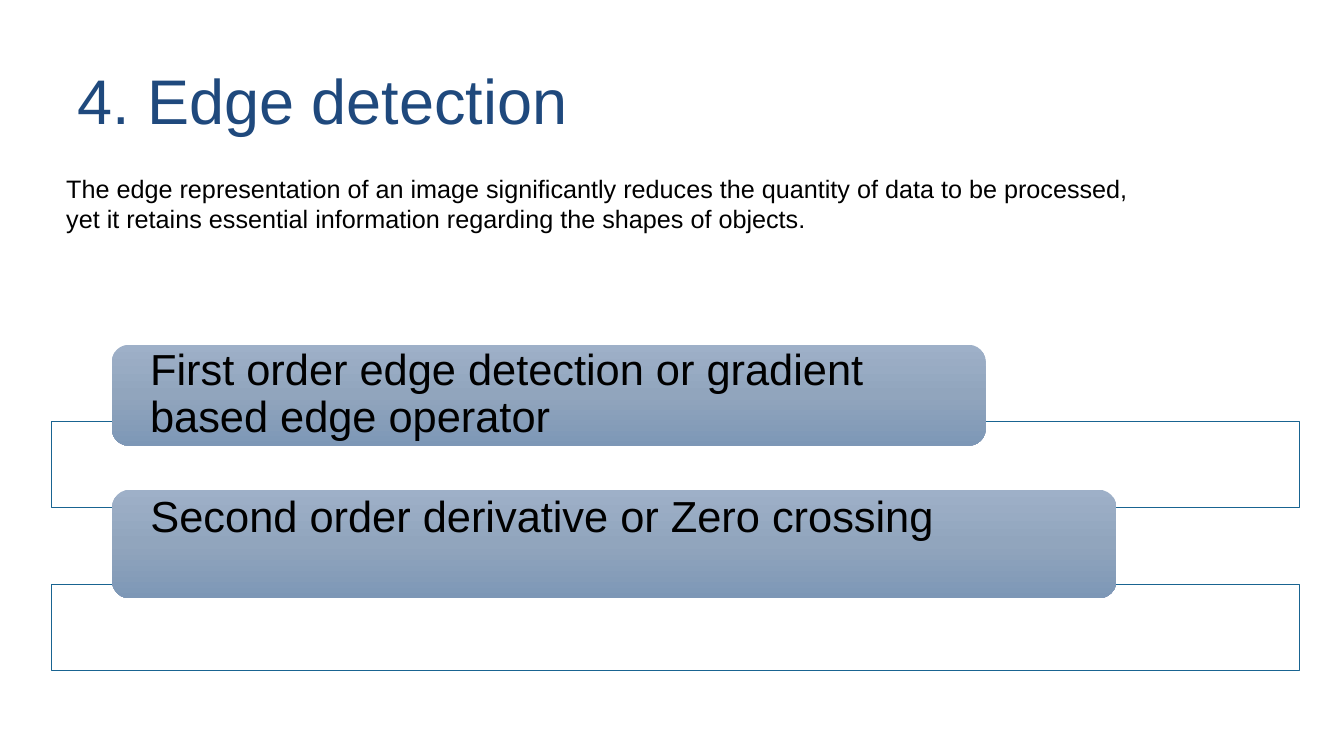
from copy import deepcopy
from typing import NamedTuple

from pptx import Presentation
from pptx.dml.color import RGBColor
from pptx.enum import shapes, text
from pptx.util import Cm, Pt

FONT = "Arial"
NAVY = RGBColor(0x1F, 0x49, 0x7D)
BLACK = RGBColor(0, 0, 0)
WHITE = RGBColor(0xFF, 0xFF, 0xFF)
FRAME_BLUE = RGBColor(0x19, 0x64, 0x91)
BAR_TOP = RGBColor(0x9E, 0xB0, 0xC8)
BAR_MIDDLE = RGBColor(0x91, 0xA5, 0xBD)
BAR_BOTTOM = RGBColor(0x7D, 0x97, 0xB6)


class Method(NamedTuple):
    label: str
    bar_top: float
    bar_width: float
    bar_height: float
    frame_top: float
    anchor: text.MSO_ANCHOR


METHODS = [
    Method("First order edge detection or gradient based edge operator",
           8.69, 22.02, 2.54, 10.62, text.MSO_ANCHOR.MIDDLE),
    Method("Second order derivative or Zero crossing",
           12.34, 25.32, 2.74, 14.73, text.MSO_ANCHOR.TOP),
]


def write(holder, words: str, *, size: float, color: RGBColor = BLACK,
          spacing: float = 1.0, anchor=text.MSO_ANCHOR.TOP,
          side: float = 0.25, top: float = 0.13, bottom: float = 0.13) -> None:
    """Fill a shape with one formatted paragraph; insets are in cm."""
    frame = holder.text_frame
    frame.word_wrap = True
    frame.auto_size = text.MSO_AUTO_SIZE.NONE
    frame.vertical_anchor = anchor
    frame.margin_left = frame.margin_right = Cm(side)
    frame.margin_top, frame.margin_bottom = Cm(top), Cm(bottom)
    frame.text = words
    paragraph = frame.paragraphs[0]
    paragraph.alignment = text.PP_ALIGN.LEFT
    paragraph.line_spacing = spacing
    font = paragraph.runs[0].font
    font.name, font.size, font.color.rgb = FONT, Pt(size), color


def shade(fill) -> None:
    """Apply the three-stop gradient, running from top to bottom."""
    fill.gradient()
    fill.gradient_angle = 270
    first = fill._fill._gradFill.gsLst[0]
    first.addnext(deepcopy(first))
    for stop, color, position in zip(fill.gradient_stops,
                                     (BAR_TOP, BAR_MIDDLE, BAR_BOTTOM),
                                     (0, 0.5, 1)):
        stop.color.rgb = color
        stop.position = position


def add_method(slide, method: Method) -> None:
    frame = slide.shapes.add_shape(
        shapes.MSO_SHAPE.RECTANGLE,
        Cm(1.3), Cm(method.frame_top), Cm(31.45), Cm(2.16))
    frame.shadow.inherit = False
    frame.fill.solid()
    frame.fill.fore_color.rgb = WHITE
    frame.line.color.rgb = FRAME_BLUE
    frame.line.width = Pt(0.5)

    bar = slide.shapes.add_shape(
        shapes.MSO_SHAPE.ROUNDED_RECTANGLE,
        Cm(2.82), Cm(method.bar_top), Cm(method.bar_width), Cm(method.bar_height))
    bar.shadow.inherit = False
    shade(bar.fill)
    bar.line.fill.background()
    write(bar, method.label, size=31, spacing=0.9, anchor=method.anchor,
          side=0.84, top=0, bottom=0)


def main() -> None:
    deck = Presentation()
    deck.slide_width, deck.slide_height = Cm(33.87), Cm(19.05)
    slide = deck.slides.add_slide(deck.slide_layouts.get_by_name("Title Only"))

    title = slide.shapes.title
    title.left, title.top, title.width, title.height = (
        Cm(1.7), Cm(1.65), Cm(17.5), Cm(1.83))
    write(title, "4. Edge detection", size=45, color=NAVY, spacing=0.9,
          anchor=text.MSO_ANCHOR.BOTTOM, bottom=0)

    summary = slide.shapes.add_textbox(Cm(1.42), Cm(4.24), Cm(28.22), Cm(1.8))
    write(summary, "The edge representation of an image significantly reduces "
          "the quantity of data to be processed, yet it retains essential "
          "information regarding the shapes of objects.", size=18)

    for method in METHODS:
        add_method(slide, method)

    deck.save("out.pptx")


if __name__ == "__main__":
    main()
